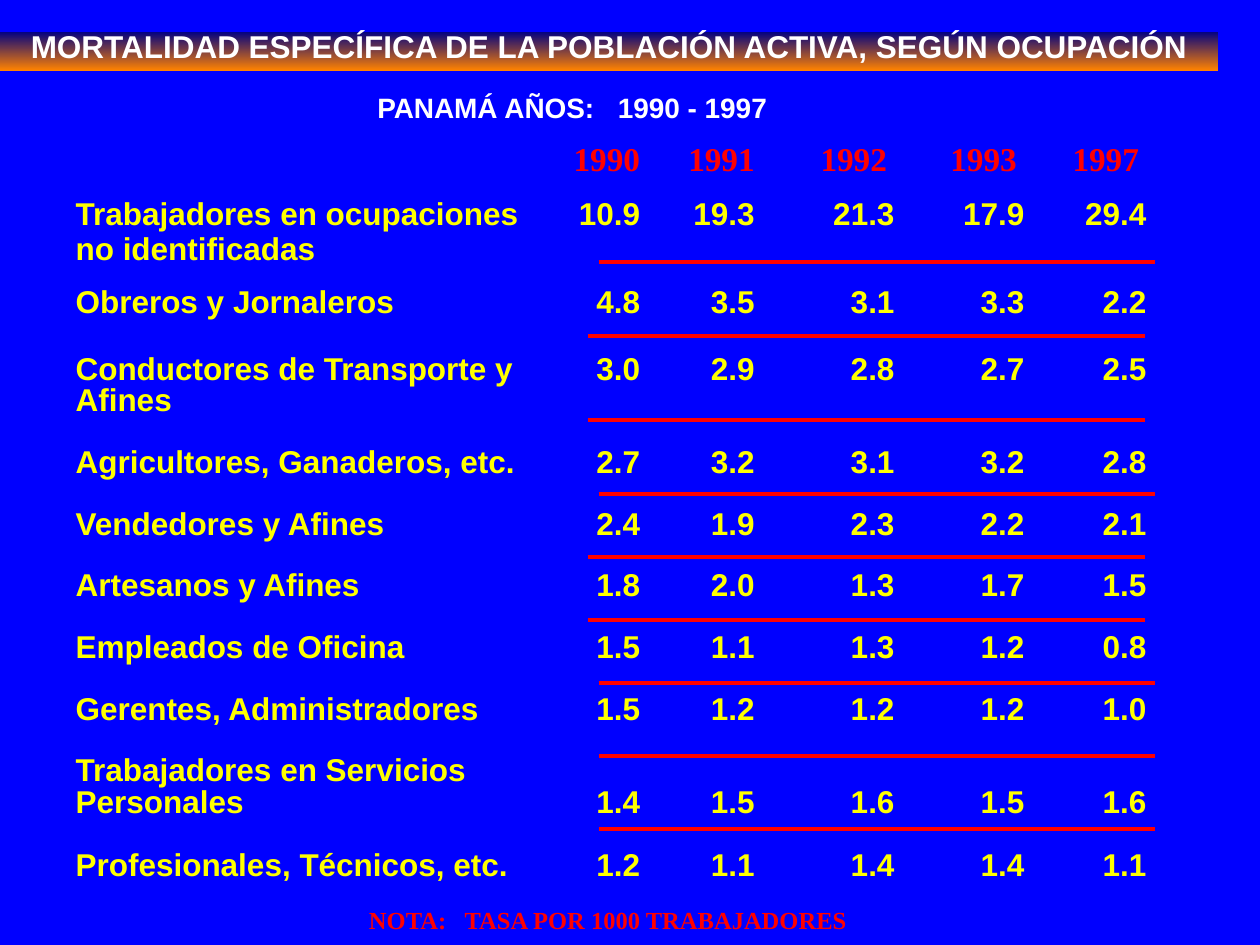
from lxml import etree
from pptx import Presentation
from pptx.dml.color import RGBColor
from pptx.enum.shapes import MSO_CONNECTOR
from pptx.enum.text import MSO_ANCHOR, MSO_AUTO_SIZE, PP_ALIGN
from pptx.oxml.ns import qn
from pptx.util import Inches, Pt

STRAIGHT = MSO_CONNECTOR.STRAIGHT
TOP = MSO_ANCHOR.TOP
NO_FIT = MSO_AUTO_SIZE.NONE
LEFT, CENTER, RIGHT = PP_ALIGN.LEFT, PP_ALIGN.CENTER, PP_ALIGN.RIGHT
NO_STYLE = "{2D5ABB26-0587-4C30-8999-92F81FD0307C}"

COLORS = {
    "background": "0000FF",
    "band_top": "000082",
    "band_bottom": "FF8200",
    "title": "FFFFFF",
    "row": "FFFF00",
    "accent": "FF0000",
}


def color(name):
    return RGBColor.from_string(COLORS[name])


def format_paragraph(p, font, size, color_name, align):
    p.alignment = align
    p.font.name = font
    p.font.size = Pt(size)
    p.font.bold = True
    p.font.color.rgb = color(color_name)


prs = Presentation()
prs.slide_width, prs.slide_height = Inches(10), Inches(7.5)
s = prs.slides.add_slide(prs.slide_layouts[5])
s.background.fill.solid()
s.background.fill.fore_color.rgb = color("background")

# Title band
title = s.shapes.title
title.left, title.top = Inches(0), Inches(0.25)
title.width, title.height = Inches(9.67), Inches(0.31)
title.fill.gradient()
title.fill.gradient_angle = 270
for stop, name in zip(title.fill.gradient_stops, ("band_top", "band_bottom")):
    stop.color.rgb = color(name)
tf = title.text_frame
tf.auto_size = NO_FIT
tf.vertical_anchor = TOP
p = tf.paragraphs[0]
p.text = "MORTALIDAD ESPECÍFICA DE LA POBLACIÓN ACTIVA, SEGÚN OCUPACIÓN"
format_paragraph(p, "Arial", 18, "title", CENTER)
p.line_spacing = 0.7

# Rates by occupation: label lines, values, row height
ROWS = [
    ("", "1990 1991 1992 1993 1997", 0.46),
    ("Trabajadores en ocupaciones\nno identificadas", "10.9 19.3 21.3 17.9 29.4", 0.7),
    ("Obreros y Jornaleros", "4.8 3.5 3.1 3.3 2.2", 0.53),
    ("Conductores de Transporte y\nAfines", "3.0 2.9 2.8 2.7 2.5", 0.74),
    ("Agricultores, Ganaderos, etc.", "2.7 3.2 3.1 3.2 2.8", 0.49),
    ("Vendedores y Afines", "2.4 1.9 2.3 2.2 2.1", 0.49),
    ("Artesanos y Afines", "1.8 2.0 1.3 1.7 1.5", 0.49),
    ("Empleados de Oficina", "1.5 1.1 1.3 1.2 0.8", 0.49),
    ("Gerentes, Administradores", "1.5 1.2 1.2 1.2 1.0", 0.49),
    ("Trabajadores en Servicios\nPersonales", "1.4 1.5 1.6 1.5 1.6", 0.75),
    ("Profesionales, Técnicos, etc.", "1.2 1.1 1.4 1.4 1.1", 0.28),
]
COLUMN_EDGES = [0.6, 4.3, 5.08, 5.99, 7.1, 8.13, 9.1]
FIRST_OCCUPATION, SECOND_LINE_VALUES = 1, 9

frame = s.shapes.add_table(
    len(ROWS), len(COLUMN_EDGES) - 1, Inches(0.6), Inches(1.13),
    Inches(8.5), Inches(sum(height for *_, height in ROWS)))
table = frame.table
table.first_row = table.horz_banding = False
table._tbl.tblPr.find(qn("a:tableStyleId")).text = NO_STYLE
for column, start, end in zip(table.columns, COLUMN_EDGES, COLUMN_EDGES[1:]):
    column.width = Inches(end - start)

for i, (label, values, height) in enumerate(ROWS):
    table.rows[i].height = Inches(height)
    for j, text in enumerate([label, *values.split()]):
        cell = table.cell(i, j)
        cell.fill.background()
        cell.vertical_anchor = TOP
        cell.margin_left = cell.margin_right = 0
        cell.margin_top = cell.margin_bottom = 0
        if i == 0 and j > 2:
            cell.margin_right = Inches(0.06)
        if i == SECOND_LINE_VALUES and j > 0:
            cell.margin_top = Inches(0.25)
        cell.text = text
        for n, p in enumerate(cell.text_frame.paragraphs):
            if i == 0:
                format_paragraph(p, "Times New Roman", 19, "accent", RIGHT)
                continue
            format_paragraph(p, "Arial", 18, "row", RIGHT if j else LEFT)
            p.line_spacing = Pt(18)
            if n and i == FIRST_OCCUPATION:
                p.space_before = Pt(2)

# Subtitle and note: lead, text, gap tracking (1/100 pt), box, font, size, colour
CAPTIONS = [
    ("PANAMÁ AÑOS:", "1990 - 1997", 890, (1.75, 0.67, 5.58, 0.37),
     "Arial", 16, "title", CENTER),
    ("NOTA:", "TASA POR 1000 TRABAJADORES", 700, (2.83, 7.13, 4.58, 0.34),
     "Times New Roman", 14, "accent", LEFT),
]
for lead, text, tracking, box, font, size, color_name, align in CAPTIONS:
    tf = s.shapes.add_textbox(*map(Inches, box)).text_frame
    tf.word_wrap = True
    p = tf.paragraphs[0]
    for part in (lead, " ", text):
        r = p.add_run()
        r.text = part
        if part == " ":
            r._r.get_or_add_rPr().set("spc", str(tracking))
    format_paragraph(p, font, size, color_name, align)

# Row separators: left end and height
SEPARATORS = [
    (4.75, 2.08), (4.67, 2.67), (4.67, 3.33), (4.75, 3.92), (4.67, 4.42),
    (4.67, 4.92), (4.75, 5.42), (4.75, 6), (4.75, 6.58),
]
for x, y in SEPARATORS:
    line = s.shapes.add_connector(
        STRAIGHT, Inches(x), Inches(y), Inches(x + 4.42), Inches(y))
    line.line.color.rgb = color("accent")
    line.line.width = Pt(2.25)
    etree.SubElement(line._element.spPr, qn("a:effectLst"))

prs.save("out.pptx")
